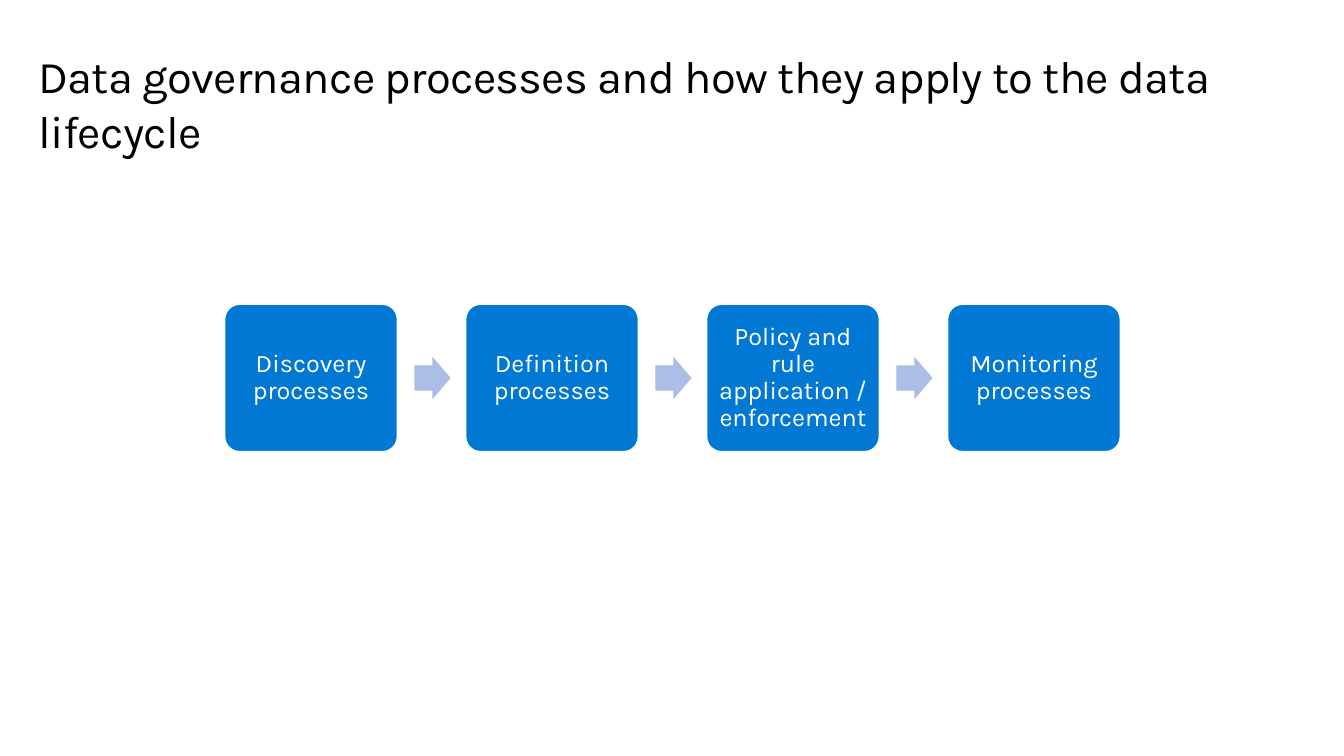
from pptx import Presentation
from pptx.dml.color import RGBColor
from pptx.enum.shapes import MSO_SHAPE
from pptx.enum.text import MSO_ANCHOR, MSO_AUTO_SIZE, PP_ALIGN
from pptx.util import Inches, Pt

BOX, ARROW = MSO_SHAPE.ROUNDED_RECTANGLE, MSO_SHAPE.RIGHT_ARROW
MIDDLE = MSO_ANCHOR.MIDDLE
LEFT, CENTER = PP_ALIGN.LEFT, PP_ALIGN.CENTER
NO_FIT = MSO_AUTO_SIZE.NONE

FONT = "Karla"
COLORS = {"title": "000000", "box": "0078D4", "white": "FFFFFF", "arrow": "ABBEE6"}
STEPS = [
    "Discovery processes",
    "Definition processes",
    "Policy and rule application / enforcement",
    "Monitoring processes",
]

# Process row, in inches
ROW_LEFT, ROW_MIDDLE, PITCH = 2.23, 3.75, 2.39
BOX_W, BOX_H = 1.71, 1.46
ARROW_W, ARROW_H, ARROW_GAP = 0.36, 0.42, 0.17


def write(s, text, size, color, align, inset):
    tf = s.text_frame
    tf.text = text
    tf.word_wrap = True
    tf.auto_size = NO_FIT
    tf.vertical_anchor = MIDDLE
    tf.margin_left = tf.margin_right = tf.margin_top = tf.margin_bottom = Inches(inset)
    p = tf.paragraphs[0]
    p.alignment = align
    r = p.runs[0]
    r.font.name, r.font.size = FONT, Pt(size)
    r.font.color.rgb = RGBColor.from_string(COLORS[color])
    return p


def add_block(kind, left, width, height, color):
    s = slide.shapes.add_shape(kind, Inches(left), Inches(ROW_MIDDLE - height / 2),
                               Inches(width), Inches(height))
    s.shadow.inherit = False
    s.fill.solid()
    s.fill.fore_color.rgb = RGBColor.from_string(COLORS[color])
    s.line.fill.background()
    return s


prs = Presentation()
prs.slide_width, prs.slide_height = Inches(13.33), Inches(7.5)
slide = prs.slides.add_slide(prs.slide_layouts[5])

# Title
title = slide.shapes.title
title.left, title.top = Inches(0.38), Inches(0.51)
title.width, title.height = Inches(12.06), Inches(1.02)
p = write(title, "Data governance processes and how they apply to the data lifecycle",
          32.4, "title", LEFT, 0)
p.runs[0]._r.get_or_add_rPr().set("spc", "-50")

# Steps, with an arrow between neighbours
for i, step in enumerate(STEPS):
    left = ROW_LEFT + i * PITCH
    box = add_block(BOX, left, BOX_W, BOX_H, "box")
    box.adjustments[0] = 0.1
    box.line.color.rgb = RGBColor.from_string(COLORS["white"])
    box.line.width = Pt(0.85)
    write(box, step, 18, "white", CENTER, 0.07).line_spacing = 0.9

    if i < len(STEPS) - 1:
        arrow = add_block(ARROW, left + BOX_W + ARROW_GAP, ARROW_W, ARROW_H, "arrow")
        arrow.adjustments[0] = 0.6
        arrow.adjustments[1] = 0.5

prs.save("out.pptx")
